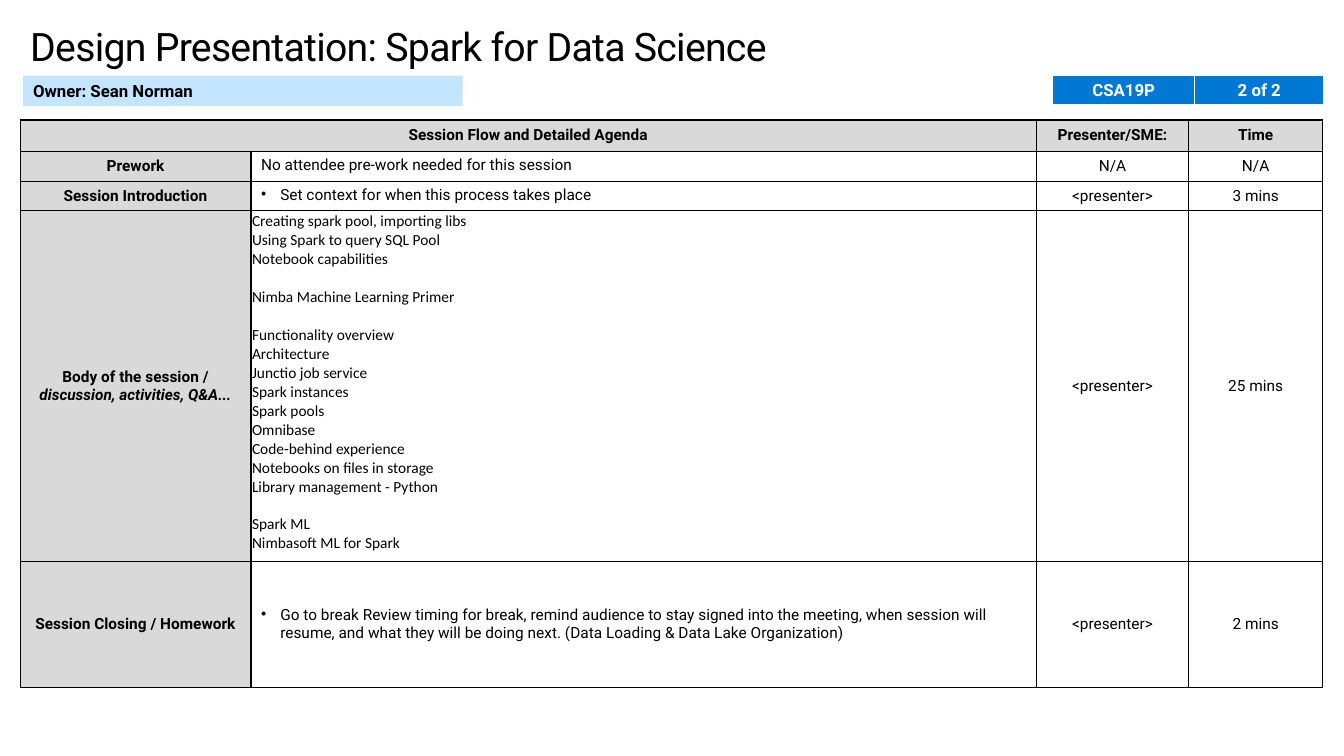
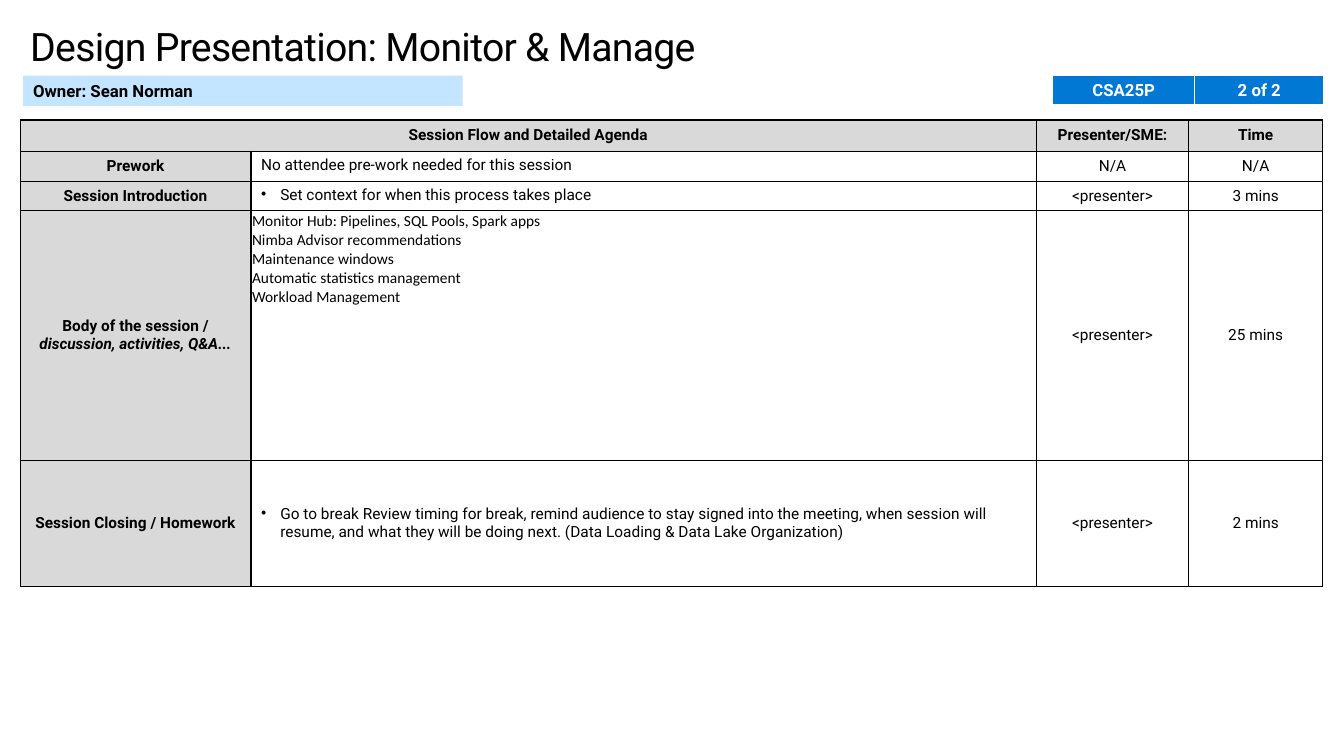
from dataclasses import dataclass

from lxml import etree
from pptx import Presentation
from pptx.dml.color import RGBColor
from pptx.enum import shapes, text
from pptx.oxml import ns
from pptx.util import Inches, Pt


@dataclass(frozen=True)
class Theme:
    ink: str = "000000"
    paper: str = "FFFFFF"
    label: str = "D9D9D9"
    owner: str = "C3E5FF"
    badge: str = "0078D4"
    font: str = "Roboto"
    topic_font: str = "Calibri"
    title_size: float = 28
    badge_size: float = 12
    body_size: float = 11
    topic_gap: float = 13.4


THEME = Theme()
CENTER = text.PP_ALIGN.CENTER
LEFT = text.PP_ALIGN.LEFT
MIDDLE = text.MSO_ANCHOR.MIDDLE
TOP = text.MSO_ANCHOR.TOP

AGENDA_COLUMNS = (2.29, 7.79, 1.51, 1.33)
SHORT_ROWS = (0.31, 0.3, 0.29)
CLOSING_ROW = 1.25
BADGE_COLUMNS = (1.41, 1.28)
GRID_EDGES = {side: (THEME.ink, 1) for side in "LRTB"}
BADGE_EDGES = {"L": (THEME.paper, 1), "R": (THEME.paper, 1),
               "T": (THEME.paper, 1), "B": (THEME.paper, 3)}

SESSIONS = [
    {
        "title": "Design Presentation: Spark for Data Science",
        "code": "CSA19P",
        "body_height": 3.48,
        "topics": [
            ["Creating spark pool, importing libs", "Using Spark to query SQL Pool",
             "Notebook capabilities"],
            ["Nimba Machine Learning Primer"],
            ["Functionality overview", "Architecture", "Junctio job service",
             "Spark instances", "Spark pools", "Omnibase", "Code-behind experience",
             "Notebooks on files in storage", "Library management - Python"],
            ["Spark ML", "Nimbasoft ML for Spark"],
        ],
    },
    {
        "title": "Design Presentation: Monitor & Manage",
        "code": "CSA25P",
        "body_height": 2.48,
        "topics": [
            ["Monitor Hub: Pipelines, SQL Pools, Spark apps", "Nimba Advisor recommendations",
             "Maintenance windows", "Automatic statistics management", "Workload Management"],
        ],
    },
]


def rgb(color):
    return RGBColor.from_string(color)


def write(frame, lines, align=LEFT, size=THEME.body_size, color=THEME.ink,
          font=THEME.font, bold=False):
    """Fill a text frame with one paragraph per line and return the paragraphs."""
    for number, line in enumerate(lines):
        paragraph = frame.add_paragraph() if number else frame.paragraphs[0]
        paragraph.alignment = align
        run = paragraph.add_run()
        run.text = line
        formats = {"name": font, "size": Pt(size), "bold": bold, "italic": False}
        for attribute, value in formats.items():
            setattr(run.font, attribute, value)
        run.font.color.rgb = rgb(color)
    return frame.paragraphs


def add_bullet(paragraph):
    properties = paragraph._p.get_or_add_pPr()
    properties.set("marL", str(Inches(0.19)))
    properties.set("indent", str(-Inches(0.19)))
    etree.SubElement(properties, ns.qn("a:buChar")).set("char", "•")


def draw_edges(cell, edges):
    properties = cell._tc.get_or_add_tcPr()
    for side, (color, width) in edges.items():
        edge = etree.SubElement(properties, ns.qn(f"a:ln{side}"), w=str(Pt(width)))
        fill = etree.SubElement(edge, ns.qn("a:solidFill"))
        etree.SubElement(fill, ns.qn("a:srgbClr"), val=color)


def add_grid(slide, left, top, columns, rows, edges):
    frame = slide.shapes.add_table(len(rows), len(columns), Inches(left), Inches(top),
                                   Inches(sum(columns)), Inches(sum(rows)))
    table = frame.table
    table.first_row = table.horz_banding = False
    for column, width in zip(table.columns, columns):
        column.width = Inches(width)
    for row, height in zip(table.rows, rows):
        row.height = Inches(height)
    for cell in table.iter_cells():
        draw_edges(cell, edges)
        cell.fill.background()
    return table


def fill_cell(cell, lines, fill=None, anchor=MIDDLE, **style):
    if fill:
        cell.fill.solid()
        cell.fill.fore_color.rgb = rgb(fill)
    cell.vertical_anchor = anchor
    return write(cell.text_frame, lines, **style)


def add_title(slide, wording):
    title = slide.shapes.title
    title.left, title.top, title.width, title.height = map(Inches, (0.2, 0.17, 12.9, 0.57))
    title.text_frame.vertical_anchor = MIDDLE
    title.text_frame.word_wrap = True
    heading = write(title.text_frame, [wording], size=THEME.title_size)[0]
    heading.runs[0].font._element.set("spc", "-50")


def add_owner(slide):
    band = slide.shapes.add_shape(shapes.MSO_SHAPE.RECTANGLE, Inches(0.23), Inches(0.75),
                                  Inches(4.36), Inches(0.3))
    band.shadow.inherit = False
    band.fill.solid()
    band.fill.fore_color.rgb = rgb(THEME.owner)
    band.line.fill.background()
    band.text_frame.vertical_anchor = MIDDLE
    write(band.text_frame, ["Owner: Sean Norman"], size=THEME.badge_size, bold=True)


def add_badge(slide, code):
    badge = add_grid(slide, 10.44, 0.75, BADGE_COLUMNS, [0.3], BADGE_EDGES)
    for cell, label in zip(badge.iter_cells(), (code, "2 of 2")):
        fill_cell(cell, [label], THEME.badge, TOP, align=CENTER,
                  size=THEME.badge_size, color=THEME.paper, bold=True)


def fill_topics(cell, groups):
    """List the topics, with one line of space before each later group."""
    for side in ("left", "right", "top"):
        setattr(cell, f"margin_{side}", Inches(0.01))
    cell.margin_bottom = 0
    lines = [topic for group in groups for topic in group]
    paragraphs = fill_cell(cell, lines, anchor=TOP, font=THEME.topic_font)
    start = 0
    for group in groups[:-1]:
        start += len(group)
        paragraphs[start].space_before = Pt(THEME.topic_gap)


def add_agenda(slide, session):
    rows = (*SHORT_ROWS, session["body_height"], CLOSING_ROW)
    agenda = add_grid(slide, 0.2, 1.19, AGENDA_COLUMNS, rows, GRID_EDGES)
    label = {"fill": THEME.label, "align": CENTER, "bold": True}

    agenda.cell(0, 0).merge(agenda.cell(0, 1))
    headings = {0: "Session Flow and Detailed Agenda", 2: "Presenter/SME:", 3: "Time"}
    for column, heading in headings.items():
        fill_cell(agenda.cell(0, column), [heading], **label)

    stages = [
        (["Prework"], "N/A", "N/A"),
        (["Session Introduction"], "<presenter>", "3 mins"),
        (["Body of the session /", "discussion, activities, Q&A..."], "<presenter>", "25 mins"),
        (["Session Closing / Homework"], "<presenter>", "2 mins"),
    ]
    for row, (stage, presenter, time) in enumerate(stages, start=1):
        names = fill_cell(agenda.cell(row, 0), stage, **label)
        for detail in names[1:]:
            detail.runs[0].font.italic = True
        for column, entry in ((2, presenter), (3, time)):
            fill_cell(agenda.cell(row, column), [entry], align=CENTER)

    fill_cell(agenda.cell(1, 1), ["No attendee pre-work needed for this session"], anchor=TOP)
    context = fill_cell(agenda.cell(2, 1), ["Set context for when this process takes place"],
                        anchor=TOP)
    fill_topics(agenda.cell(3, 1), session["topics"])
    closing = fill_cell(agenda.cell(4, 1), [
        "Go to break Review timing for break, remind audience to stay signed into the meeting, "
        "when session will resume, and what they will be doing next. "
        "(Data Loading & Data Lake Organization)"])
    for paragraph in (context[0], closing[0]):
        add_bullet(paragraph)


def main():
    deck = Presentation()
    deck.slide_width, deck.slide_height = Inches(13.33), Inches(7.5)
    for session in SESSIONS:
        slide = deck.slides.add_slide(deck.slide_layouts[5])
        add_agenda(slide, session)
        add_owner(slide)
        add_badge(slide, session["code"])
        add_title(slide, session["title"])
    deck.save("out.pptx")


if __name__ == "__main__":
    main()
